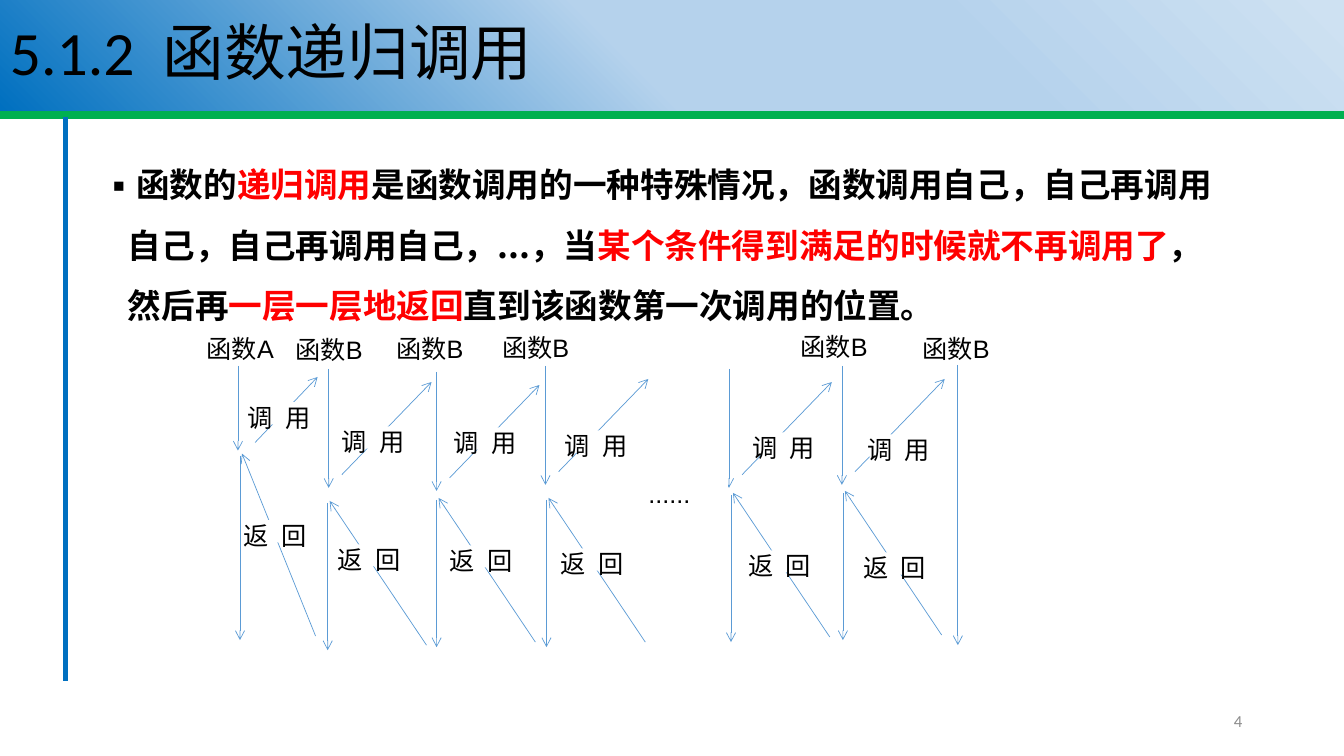
from collections import namedtuple

from lxml import etree
from pptx import Presentation
from pptx.dml.color import RGBColor
from pptx.enum.shapes import MSO_CONNECTOR, MSO_SHAPE
from pptx.enum.text import MSO_ANCHOR, PP_ALIGN
from pptx.oxml.ns import qn
from pptx.util import Inches, Pt

BLACK = RGBColor(0x00, 0x00, 0x00)
WHITE = RGBColor(0xFF, 0xFF, 0xFF)
RED = RGBColor(0xFF, 0x00, 0x00)
GRAY = RGBColor(0x8C, 0x8C, 0x8C)
GREEN = RGBColor(0x00, 0xB0, 0x50)
BLUE = RGBColor(0x00, 0x70, 0xC0)
ARROW_BLUE = RGBColor(0x5B, 0x9B, 0xD5)
BANNER_STOPS = [(1, RGBColor(0xCE, 0xE1, 0xF2)), (29, RGBColor(0xB5, 0xD2, 0xEC)),
                (53, RGBColor(0xB5, 0xD2, 0xEC)), (100, BLUE)]
CJK_FONT = "Noto Sans CJK SC"

# A call level, in inches from the diagram's corner
Level = namedtuple("Level", "name name_at entry depth call_from call_by "
                            "return_tip return_by resume_length call_label")


def nested(name, name_at, entry, return_tip, call_label):
    """A call of B by itself: every such level has the same arrow lengths."""
    call_from = (entry[0] + 0.13, entry[1] + 1.05)
    return Level(name, name_at, entry, 1.18, call_from, (0.89, -0.92),
                 return_tip, (0.96, 1.43), 1.46, call_label)


LEVELS = [
    Level("函数A", (0.05, 0.31), (0.36, 0.63), 0.84, (0.53, 1.39), (0.62, -0.65),
          (0.4, 1.5), (0.73, 1.81), 1.83, (0.46, 0.99)),
    nested("函数B", (0.93, 0.32), (1.26, 0.66), (1.27, 1.97), (1.39, 1.23)),
    nested("函数B", (1.93, 0.31), (2.33, 0.69), (2.35, 1.94), (2.5, 1.24)),
    nested("函数B", (2.98, 0.3), (3.41, 0.63), (3.44, 1.94), (3.6, 1.27)),
    nested(None, None, (5.23, 0.66), (5.27, 1.89), (5.46, 1.29)),
    nested("函数B", (5.94, 0.29), (6.35, 0.63), (6.38, 1.87), (6.6, 1.31)),
]


def write(shape, runs, size, font, bold=False, color=BLACK, align=PP_ALIGN.LEFT,
          anchor=MSO_ANCHOR.TOP, spacing=1.0, insets=(0.1, 0.05), gap=0):
    """Fill a shape with (text, colour) runs; gap widens the space run, in points."""
    frame = shape.text_frame
    frame.word_wrap = True
    frame.vertical_anchor = anchor
    frame.margin_left = frame.margin_right = Inches(insets[0])
    frame.margin_top = frame.margin_bottom = Inches(insets[1])
    paragraph = frame.paragraphs[0]
    paragraph.alignment = align
    paragraph.line_spacing = spacing
    for text, run_color in [(runs, color)] if isinstance(runs, str) else runs:
        for part in filter(None, text.partition(" ")):
            run = paragraph.add_run()
            run.text = part
            run.font.size, run.font.bold, run.font.name = Pt(size), bold, font
            run.font.color.rgb = run_color
            properties = run.font._element
            if part == " " and gap:
                properties.set("spc", str(gap * 100))
            etree.SubElement(properties, qn("a:ea"), typeface=CJK_FONT)
    return paragraph


def draw_line(shapes, start, end, color, width, arrow=False):
    line = shapes.add_connector(MSO_CONNECTOR.STRAIGHT, *map(Inches, start + end))
    line.line.color.rgb = color
    line.line.width = Pt(width)
    if arrow:
        etree.SubElement(line.line._get_or_add_ln(), qn("a:tailEnd"), type="arrow")
    etree.SubElement(line._element.spPr, qn("a:effectLst"))


def draw_box(shapes, left, top, width, height):
    box = shapes.add_shape(MSO_SHAPE.RECTANGLE, *map(Inches, (left, top, width, height)))
    box.shadow.inherit = False
    box.line.fill.background()
    box.fill.solid()
    box.fill.fore_color.rgb = WHITE
    return box


def add_banner(slide, left, top, width, height):
    # Rules under the title and down the left margin
    draw_line(slide.shapes, (left, top + 1.14), (left + width, top + 1.14), GREEN, 5.25)
    draw_line(slide.shapes, (left + 0.65, top + 1.16), (left + 0.65, top + 6.76), BLUE, 3.75)
    # Title on a diagonal gradient
    banner = draw_box(slide.shapes, left, top, width, height)
    banner.fill.gradient()
    banner.fill.gradient_angle = 225
    stops = banner._element.spPr.find(qn("a:gradFill")).find(qn("a:gsLst"))
    for stop in list(stops):
        stops.remove(stop)
    for position, color in BANNER_STOPS:
        stop = etree.SubElement(stops, qn("a:gs"), pos=str(position * 1000))
        etree.SubElement(stop, qn("a:srgbClr"), val=str(color))
    write(banner, "5.1.2 函数递归调用", size=44, font="Calibri",
          anchor=MSO_ANCHOR.MIDDLE, spacing=0.9, gap=10)


def add_explanation(slide, left, top, width, height):
    explanation = slide.shapes.add_textbox(*map(Inches, (left, top, width, height)))
    paragraph = write(explanation, [
        ("函数的", BLACK), ("递归调用", RED),
        ("是函数调用的一种特殊情况，函数调用自己，自己再调用自己，自己再调用自己，...，当", BLACK),
        ("某个条件得到满足的时候就不再调用了", RED), ("，然后再", BLACK),
        ("一层一层地返回", RED), ("直到该函数第一次调用的位置。", BLACK),
    ], size=24, font=CJK_FONT, bold=True, spacing=1.5)
    # Hanging square bullet
    properties = paragraph._p.get_or_add_pPr()
    properties.set("marL", str(Inches(0.25)))
    properties.set("indent", str(-Inches(0.25)))
    etree.SubElement(properties, qn("a:buFont"), typeface=CJK_FONT)
    etree.SubElement(properties, qn("a:buChar"), char="▪")


def add_recursion_diagram(slide, left, top):
    diagram = slide.shapes.add_group_shape().shapes

    def arrow(start, by):
        x, y = left + start[0], top + start[1]
        draw_line(diagram, (x, y), (x + by[0], y + by[1]), ARROW_BLUE, 0.5, arrow=True)

    def label(text, at, width=0.74, height=0.22, insets=(0, 0)):
        box = draw_box(diagram, left + at[0], top + at[1], width, height)
        write(box, text, size=18, font="Arial", insets=insets, gap=5)

    # Arrows: run, call, return, then resume
    for level in LEVELS:
        tip_x, tip_y = level.return_tip
        back_x, back_y = level.return_by
        arrow(level.entry, (0, level.depth))
        arrow(level.call_from, level.call_by)
        arrow((tip_x + back_x, tip_y + back_y), (-back_x, -back_y))
        arrow((tip_x - 0.02, tip_y + 0.02), (0, level.resume_length))
    # Innermost call runs straight to its end
    arrow((7.5, 0.62), (0, 2.78))

    # Labels lie over the arrows
    label("......", (4.43, 1.7), width=0.79, height=0.33, insets=(0, 0.05))
    label("函数B", (7.15, 0.31))
    for level in LEVELS:
        label_x, label_y = level.call_label
        if level.name:
            label(level.name, level.name_at)
        label("调 用", (label_x, label_y))
        label("返 回", (label_x - 0.04, label_y + 1.17))


def add_page_number(slide, left, top, width, height):
    number = slide.shapes.add_textbox(*map(Inches, (left, top, width, height)))
    write(number, "4", size=12, font="Calibri", color=GRAY,
          align=PP_ALIGN.RIGHT, anchor=MSO_ANCHOR.MIDDLE)


presentation = Presentation()
presentation.slide_width = Inches(13.33)
presentation.slide_height = Inches(7.5)
recursion_slide = presentation.slides.add_slide(presentation.slide_layouts[6])
add_banner(recursion_slide, 0, 0, 13.33, 1.1)
add_page_number(recursion_slide, 9.42, 6.95, 3, 0.4)
add_explanation(recursion_slide, 0.92, 1.38, 11.35, 4.95)
add_recursion_diagram(recursion_slide, 2, 3)
presentation.save("out.pptx")
